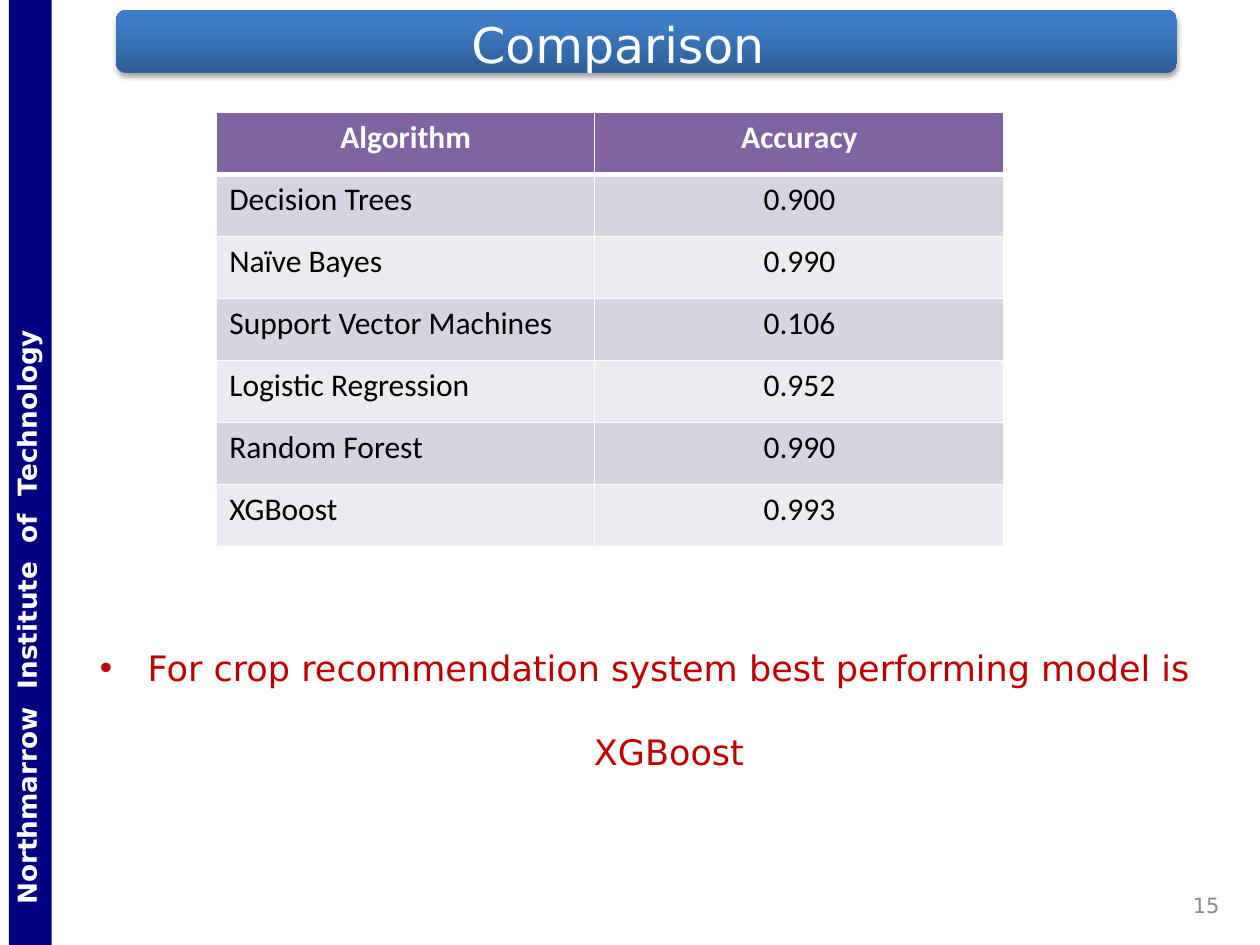
import dataclasses

import pptx
import pptx.dml.color
import pptx.enum.shapes
import pptx.enum.text
import pptx.oxml
import pptx.oxml.ns
import pptx.util
from lxml import etree

Align = pptx.enum.text.PP_ALIGN
Anchor = pptx.enum.text.MSO_ANCHOR
ShapeType = pptx.enum.shapes.MSO_SHAPE
Inches = pptx.util.Inches
WIDTH, HEIGHT = 10, 7.5


@dataclasses.dataclass(frozen=True)
class Theme:
    font: str = "DejaVu Sans"
    table_font: str = "Calibri"
    white: str = "FFFFFF"
    black: str = "000000"
    navy: str = "000080"
    banner_dark: str = "2F5F99"
    banner_light: str = "3D7CC7"
    header: str = "8064A2"
    bands: tuple = ("D8D3E0", "EDEAF0")
    red: str = "C00000"
    grey: str = "8C8C8C"
    title_size: int = 28
    body_size: int = 20
    table_size: int = 18
    side_size: int = 15
    number_size: int = 12


THEME = Theme()
ROWS = [
    ("Algorithm", "Accuracy"),
    ("Decision Trees", "0.900"),
    ("Naïve Bayes", "0.990"),
    ("Support Vector Machines", "0.106"),
    ("Logistic Regression", "0.952"),
    ("Random Forest", "0.990"),
    ("XGBoost", "0.993"),
]


def rgb(value):
    return pptx.dml.color.RGBColor.from_string(value)


def add_run(paragraph, text, size, color, font=THEME.font, bold=False):
    run = paragraph.add_run()
    run.text = text
    run.font.name = font
    run.font.size = pptx.util.Pt(size)
    run.font.bold = bold
    run.font.color.rgb = rgb(color)
    return run


def add_text(slide, box, text, size, color, align, anchor=Anchor.MIDDLE):
    shape = slide.shapes.add_textbox(*map(Inches, box))
    frame = shape.text_frame
    frame.word_wrap = True
    frame.vertical_anchor = anchor
    paragraph = frame.paragraphs[0]
    paragraph.alignment = align
    add_run(paragraph, text, size, color)
    return paragraph


def add_banner(slide, box):
    """Rounded bar with a vertical gradient and a soft shadow."""
    shape = slide.shapes.add_shape(ShapeType.ROUNDED_RECTANGLE, *map(Inches, box))
    shape.line.fill.background()
    shape.fill.gradient()
    shape.fill.gradient_angle = 90
    stops = ((0, THEME.banner_dark), (0.8, THEME.banner_light))
    for stop, (position, color) in zip(shape.fill.gradient_stops, stops):
        stop.position = position
        stop.color.rgb = rgb(color)
    shape.shadow.inherit = False
    effects = shape._element.spPr.find(pptx.oxml.ns.qn("a:effectLst"))
    effects.append(pptx.oxml.parse_xml(
        f'<a:outerShdw {pptx.oxml.ns.nsdecls("a")} blurRad="39400" dist="22900" '
        f'dir="5400000" rotWithShape="0"><a:srgbClr val="{THEME.black}">'
        '<a:alpha val="35000"/></a:srgbClr></a:outerShdw>'))


def add_side_band(slide, box, words):
    """Vertical band: a wide bar turned a quarter about the box's centre."""
    left, top, width, height = box
    bar = (left + (width - height) / 2, top + (height - width) / 2, height, width)
    shape = slide.shapes.add_shape(ShapeType.RECTANGLE, *map(Inches, bar))
    shape.rotation = 270
    shape.shadow.inherit = False
    shape.fill.solid()
    shape.fill.fore_color.rgb = rgb(THEME.navy)
    shape.line.fill.background()
    frame = shape.text_frame
    frame.word_wrap = True
    frame.vertical_anchor = Anchor.MIDDLE
    frame.margin_left, frame.margin_right = Inches(0.32), Inches(0.1)
    frame.margin_top, frame.margin_bottom = Inches(0.01), Inches(0.07)
    paragraph = frame.paragraphs[0]
    paragraph.alignment = Align.LEFT
    for index, word in enumerate(words):
        if index:
            # Wide word gap through character spacing
            gap = add_run(paragraph, " ", THEME.side_size, THEME.white, bold=True)
            gap.font._element.set("spc", "520")
        add_run(paragraph, word, THEME.side_size, THEME.white, bold=True)


def set_borders(cell, bottom_points):
    properties = cell._tc.get_or_add_tcPr()
    sides = (("lnL", 1), ("lnR", 1), ("lnT", 1), ("lnB", bottom_points))
    for index, (side, points) in enumerate(sides):
        line = pptx.oxml.parse_xml(
            f'<a:{side} {pptx.oxml.ns.nsdecls("a")} w="{pptx.util.Pt(points)}">'
            f'<a:solidFill><a:srgbClr val="{THEME.white}"/></a:solidFill></a:{side}>')
        properties.insert(index, line)


def add_accuracy_table(slide, box, rows, column_shares):
    left, top, width, height = box
    table = slide.shapes.add_table(
        len(rows), len(column_shares), *map(Inches, box)).table
    for column, share in zip(table.columns, column_shares):
        column.width = Inches(width * share)
    for row_index, values in enumerate(rows):
        table.rows[row_index].height = Inches(height / len(rows))
        is_header = row_index == 0
        fill = THEME.header if is_header else THEME.bands[(row_index - 1) % 2]
        color = THEME.white if is_header else THEME.black
        for column_index, value in enumerate(values):
            cell = table.cell(row_index, column_index)
            cell.fill.solid()
            cell.fill.fore_color.rgb = rgb(fill)
            set_borders(cell, 3 if is_header else 1)
            paragraph = cell.text_frame.paragraphs[0]
            centred = is_header or column_index > 0
            paragraph.alignment = Align.CENTER if centred else Align.LEFT
            add_run(paragraph, value, THEME.table_size, color,
                    THEME.table_font, is_header)


def add_conclusion(slide, box, text):
    """Centred bullet with double line spacing."""
    paragraph = add_text(slide, box, text, THEME.body_size, THEME.red,
                         Align.CENTER, Anchor.TOP)
    paragraph.line_spacing = 2.0
    properties = paragraph._p.get_or_add_pPr()
    indent = Inches(0.38)
    properties.set("marL", str(indent))
    properties.set("indent", str(-indent))
    font = etree.SubElement(properties, pptx.oxml.ns.qn("a:buFont"))
    font.set("typeface", "Arial")
    bullet = etree.SubElement(properties, pptx.oxml.ns.qn("a:buChar"))
    bullet.set("char", "•")


def main():
    presentation = pptx.Presentation()
    presentation.slide_width = Inches(WIDTH)
    presentation.slide_height = Inches(HEIGHT)
    slide = presentation.slides.add_slide(presentation.slide_layouts[6])

    # Frame of the slide
    add_banner(slide, (0.92, 0.08, 8.42, 0.5))
    add_side_band(slide, (0.07, 0, 0.34, HEIGHT),
                  ("Northmarrow", "Institute", "of", "Technology"))
    # Content
    add_text(slide, (1.8, 0, 6.33, 0.7), "Comparison ",
             THEME.title_size, THEME.white, Align.CENTER)
    add_conclusion(slide, (0.62, 4.75, 9, 1.34),
                   "For crop recommendation system best performing model is XGBoost")
    add_text(slide, (8.08, 7.08, 1.75, 0.21), "15 ",
             THEME.number_size, THEME.grey, Align.RIGHT)
    add_accuracy_table(slide, (1.72, 0.89, 6.25, 3.45), ROWS, (0.48, 0.52))
    presentation.save("out.pptx")


if __name__ == "__main__":
    main()
